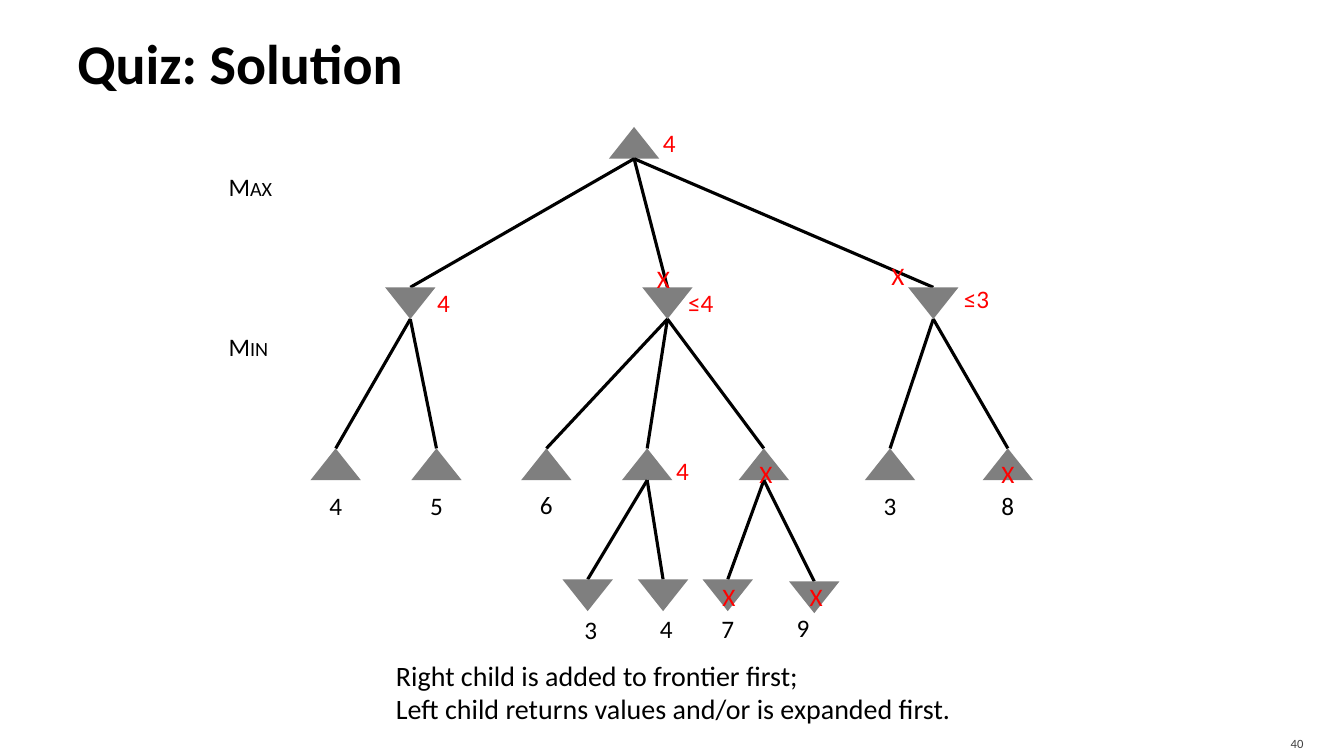
from dataclasses import dataclass
from typing import NamedTuple

from lxml.etree import SubElement
from pptx import Presentation
from pptx.dml.color import RGBColor
from pptx.enum.shapes import MSO_CONNECTOR as Connector, MSO_SHAPE as Shape
from pptx.enum.text import MSO_ANCHOR as Anchor, PP_ALIGN as Align
from pptx.oxml.ns import qn
from pptx.util import Cm, Pt


@dataclass(frozen=True)
class Theme:
    font: str = "Calibri"
    ink: RGBColor = RGBColor(0, 0, 0)
    result: RGBColor = RGBColor(0xFF, 0, 0)
    node: RGBColor = RGBColor(0x7F, 0x7F, 0x7F)
    page: RGBColor = RGBColor(0x41, 0x41, 0x41)
    title_size: int = 40
    note_size: int = 20
    label_size: int = 18
    page_size: int = 9
    edge_width: float = 2.25


class Box(NamedTuple):
    left: float
    top: float
    width: float
    height: float


class Node(NamedTuple):
    """Offsets run from the top centre of the node's triangle, in cm."""
    x: float
    value: str = ""
    value_at: tuple = (0, 1.43)
    cross_at: tuple = ()
    children: tuple = ()
    drop: float = 0


THEME = Theme()
NODE_WIDTH, NODE_HEIGHT = 1.27, 0.8
LEVEL_TOPS = (0, 4.04, 8.1, 11.4)
VALUE_SIZE = (1.27, 1.3)
CROSS_SIZE = (0.81, 0.79)

GAME_TREE = Node(8.15, "4", (0.89, 0.39), children=(
    Node(2.51, "4", (0.84, 0.39), children=(
        Node(0.63, "4"),
        Node(3.17, "5"))),
    Node(8.99, "≤4", (0.84, 0.39), cross_at=(-0.1, -0.22), children=(
        Node(5.94, "6", (0, 1.41)),
        Node(8.48, "4", (0.89, 0.55), children=(
            Node(6.98, "3", (0.08, 1.26)),
            Node(8.88, "4", (0.08, 1.23)))),
        Node(11.42, cross_at=(0.05, 0.62), children=(
            Node(10.51, "7", (0, 1.23), cross_at=(0.03, 0.44)),
            Node(12.69, "9", (-0.28, 1.16), cross_at=(0.05, 0.39), drop=0.05))))),
    Node(15.69, "≤3", (1.09, 0.29), cross_at=(-0.89, -0.29), children=(
        Node(14.6, "3"),
        Node(17.57, "8", cross_at=(0, 0.62))))))


def write(frame, *lines, size=THEME.label_size, color=THEME.ink, bold=False,
          small_caps=False, align=Align.LEFT, anchor=Anchor.TOP,
          insets=(0.25, 0.13, 0.25, 0.13)):
    frame.word_wrap = True
    frame.vertical_anchor = anchor
    (frame.margin_left, frame.margin_top,
     frame.margin_right, frame.margin_bottom) = map(Cm, insets)
    for index, line in enumerate(lines):
        paragraph = frame.add_paragraph() if index else frame.paragraphs[0]
        paragraph.alignment = align
        run = paragraph.add_run()
        run.text = line
        font = run.font
        font.name, font.size, font.bold = THEME.font, Pt(size), bold
        font.color.rgb = color
        if small_caps:
            run._r.get_or_add_rPr().set("cap", "small")


def add_text(slide, box, *lines, **text_format):
    write(slide.shapes.add_textbox(*map(Cm, box)).text_frame, *lines, **text_format)


def add_mark(slide, center, size, text, color):
    """Centre a short label on a point."""
    (x, y), (width, height) = center, size
    add_text(slide, Box(x - width / 2, y - height / 2, width, height), text,
             color=color, align=Align.CENTER, anchor=Anchor.MIDDLE, insets=(0,) * 4)


def add_edge(slide, start, end):
    edge = slide.shapes.add_connector(Connector.STRAIGHT, *map(Cm, start + end))
    edge.line.color.rgb = THEME.ink
    edge.line.width = Pt(THEME.edge_width)
    SubElement(edge._element.spPr, qn("a:effectLst"))


def add_triangle(slide, x, y, points_down):
    triangle = slide.shapes.add_shape(
        Shape.ISOSCELES_TRIANGLE,
        *map(Cm, (x - NODE_WIDTH / 2, y, NODE_WIDTH, NODE_HEIGHT)))
    triangle.rotation = 180 if points_down else 0
    triangle.shadow.inherit = False
    triangle.fill.solid()
    triangle.fill.fore_color.rgb = THEME.node
    triangle.line.fill.background()


def draw_tree(slide, box, node, depth=0):
    """Draw a node, its edges and all its descendants; odd levels are Min."""
    def top_of(member, level):
        return box.left + member.x, box.top + LEVEL_TOPS[level] + member.drop

    x, y = top_of(node, depth)
    add_triangle(slide, x, y, points_down=depth % 2 == 1)
    for child in node.children:
        add_edge(slide, (x, y + NODE_HEIGHT), top_of(child, depth + 1))
        draw_tree(slide, box, child, depth + 1)
    if node.value:
        dx, dy = node.value_at
        add_mark(slide, (x + dx, y + dy), VALUE_SIZE, node.value,
                 THEME.result if node.children else THEME.ink)
    if node.cross_at:
        dx, dy = node.cross_at
        add_mark(slide, (x + dx, y + dy), CROSS_SIZE, "X", THEME.result)


def draw_title(slide, box):
    title = slide.shapes.title
    title.left, title.top, title.width, title.height = map(Cm, box)
    write(title.text_frame, "Quiz: Solution", size=THEME.title_size, bold=True,
          anchor=Anchor.MIDDLE, insets=(0.25, 0.13, 0.13, 0.13))


def draw_players(slide, box):
    height = 1.02
    for player, top in (("Max", box.top), ("Min", box.top + box.height - height)):
        add_text(slide, Box(box.left, top, box.width, height), player, small_caps=True)


def draw_note(slide, box):
    add_text(slide, box, "Right child is added to frontier first;",
             "Left child returns values and/or is expanded first.", size=THEME.note_size)


def draw_page_number(slide, box):
    add_text(slide, box, "40", size=THEME.page_size, color=THEME.page,
             align=Align.RIGHT, anchor=Anchor.MIDDLE, insets=(0.25, 0.13, 0.25, 0))


def main():
    deck = Presentation()
    deck.slide_width, deck.slide_height = Cm(33.87), Cm(19.05)
    slide = deck.slides.add_slide(deck.slide_layouts[5])
    draw_title(slide, Box(1.7, 0.2, 30.48, 2.74))
    draw_players(slide, Box(5.51, 4.19, 1.65, 5.06))
    draw_tree(slide, Box(7.83, 3.2, 18.2, 12.2), GAME_TREE)
    draw_note(slide, Box(9.73, 16.46, 15.16, 1.96))
    draw_page_number(slide, Box(30.38, 18.29, 2.72, 0.76))
    deck.save("out.pptx")


if __name__ == "__main__":
    main()
